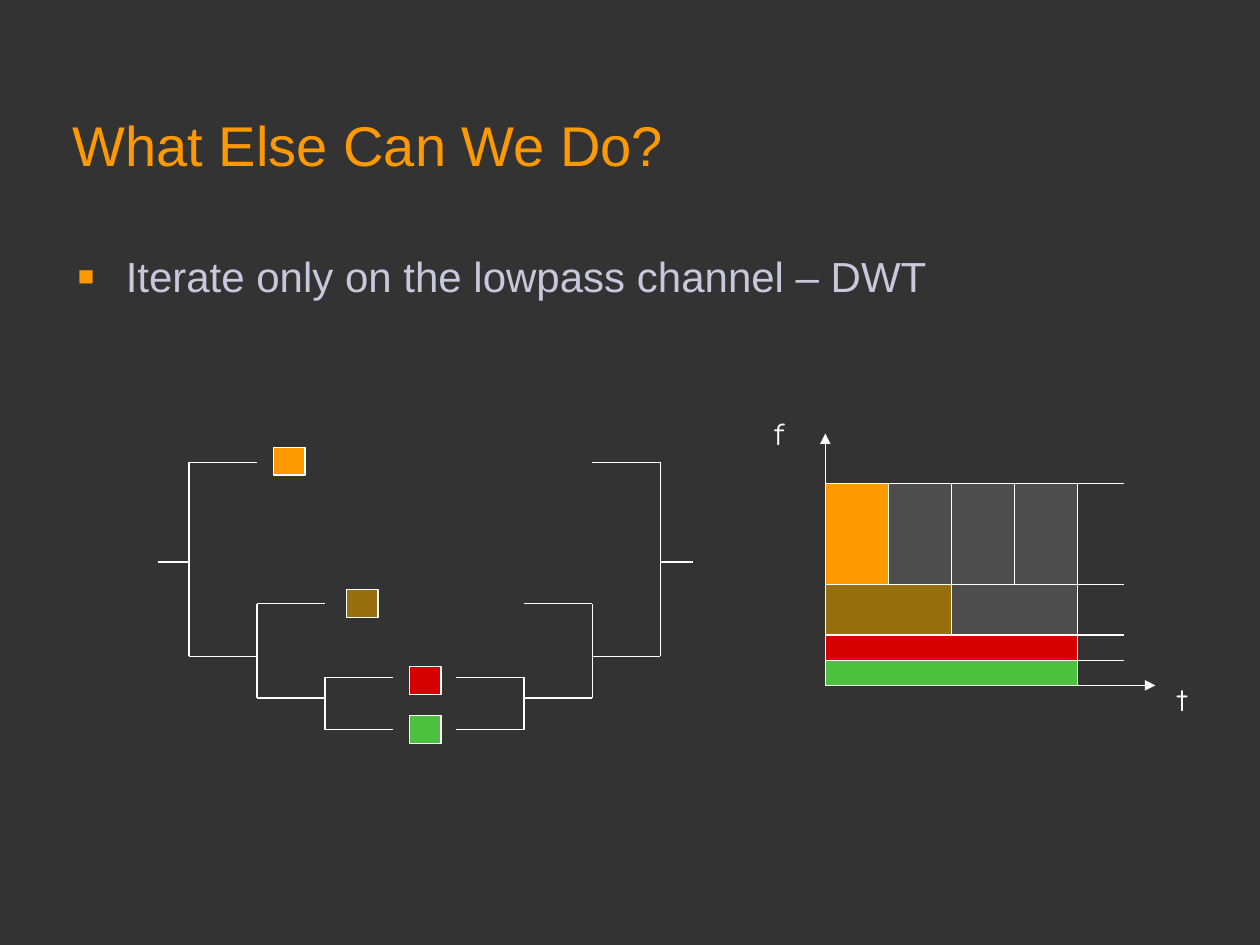
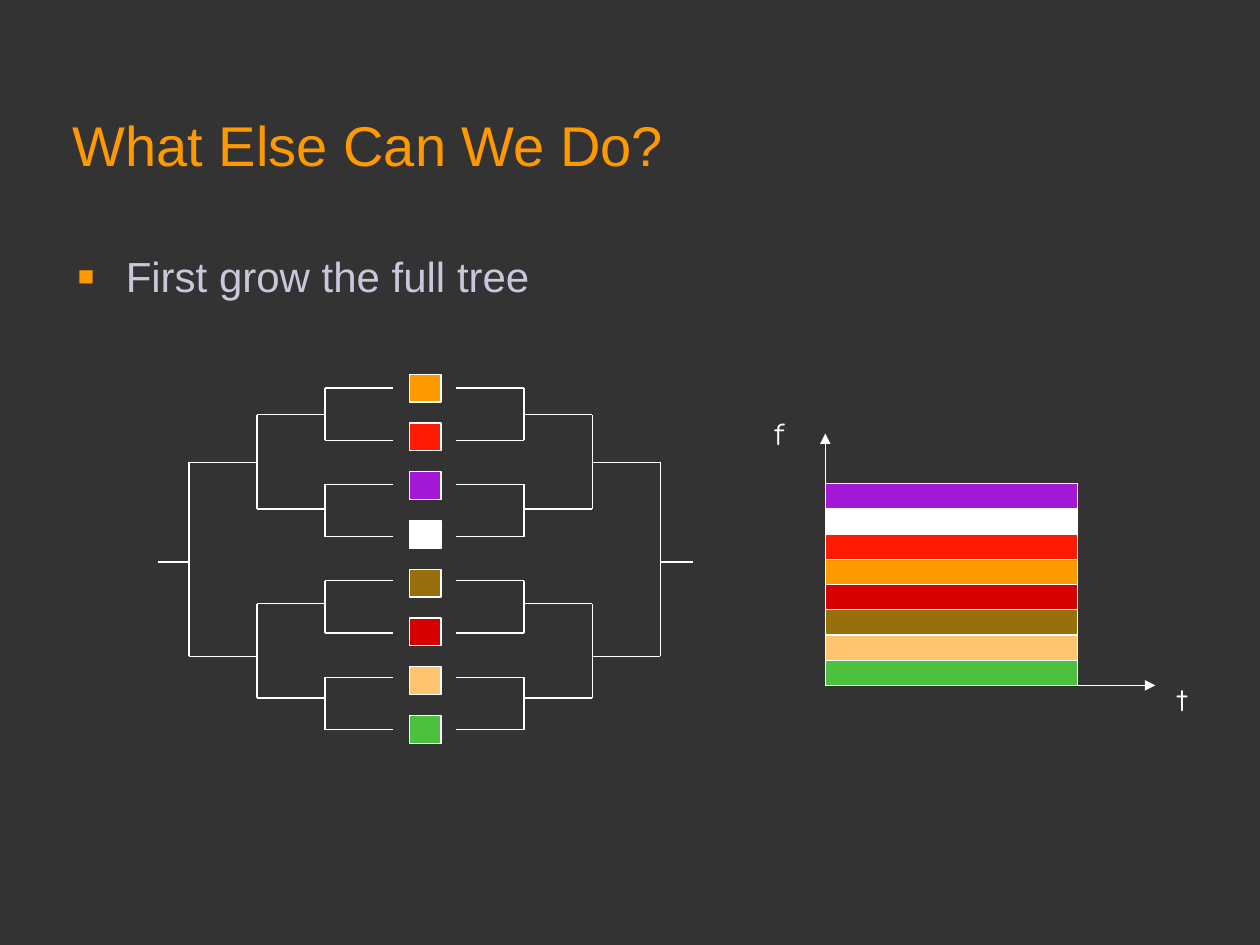
from lxml import etree
from pptx import Presentation
from pptx.dml.color import RGBColor
from pptx.enum import shapes, text
from pptx.oxml import ns
from pptx.util import Inches, Pt

COLOURS = {
    "background": "333333", "orange": "FF9900", "lavender": "C9C7DB",
    "white": "FFFFFF", "grey": "4D4D4D", "green": "4BC13F",
    "crimson": "D60000", "scarlet": "FD1B03", "brown": "97700D",
    "purple": "A318D4", "peach": "FFC46D",
}
RGB = {name: RGBColor.from_string(value) for name, value in COLOURS.items()}

# Filter bank geometry: the synthesis half mirrors the analysis half
MIRROR = 6.74
BRANCH = 0.54
LEAF_LEFT, LEAF_TOP, LEAF_STEP = 3.25, 2.97, 0.387
LEAF_WIDTH, LEAF_HEIGHT = 0.25, 0.22

# Time-frequency plane geometry
PLANE_LEFT, PLANE_TOP, PLANE_WIDTH, PLANE_BOTTOM = 6.55, 3.84, 2, 5.44
BAND = 0.2

# Forks as (spine, upper branch, lower branch)
root_fork = (1.5, 3.67, 5.21)
high_fork = (2.04, 3.29, 4.04)
low_fork = (2.04, 4.79, 5.54)
end_forks = [(2.58, 3.08 + 0.765 * i, 3.495 + 0.765 * i) for i in range(4)]

# Leaves as (left, top, colour)
full_leaves = [
    (LEAF_LEFT, LEAF_TOP + LEAF_STEP * i, colour)
    for i, colour in enumerate(["orange", "scarlet", "purple", "white",
                                "brown", "crimson", "peach", "green"])
]
dwt_leaves = [
    (2.17, 3.55, "orange"), (2.75, 4.68, "brown"),
    (*full_leaves[6][:2], "crimson"), full_leaves[7],
]

# Plane rows from the top, as (height in bands, cell colours)
dwt_rows = [
    (4, ["orange", "grey", "grey", "grey"]),
    (2, ["brown", "grey"]),
    (1, ["crimson"]),
    (1, ["green"]),
]
full_rows = [(1, [colour]) for colour in
             ["purple", "white", "scarlet", "orange",
              "crimson", "brown", "peach", "green"]]

# Each slide: bullet, forks, leaves, plane rows, whether rows have ticks
pages = [
    ("Iterate only on the lowpass channel – DWT",
     [root_fork, low_fork, end_forks[3]], dwt_leaves, dwt_rows, True),
    ("First grow the full tree",
     [root_fork, high_fork, low_fork, *end_forks], full_leaves, full_rows, False),
]


def draw_line(slide, x1, y1, x2, y2, arrow=False):
    line = slide.shapes.add_connector(
        shapes.MSO_CONNECTOR.STRAIGHT,
        Inches(x1), Inches(y1), Inches(x2), Inches(y2))
    line.line.color.rgb = RGB["white"]
    line.line.width = Pt(0.75)
    if arrow:
        etree.SubElement(line.line._get_or_add_ln(), ns.qn("a:tailEnd"), type="triangle")
    etree.SubElement(line._element.spPr, ns.qn("a:effectLst"))


def draw_block(slide, left, top, width, height, colour):
    block = slide.shapes.add_shape(
        shapes.MSO_SHAPE.RECTANGLE,
        Inches(left), Inches(top), Inches(width), Inches(height))
    block.shadow.inherit = False
    block.fill.solid()
    block.fill.fore_color.rgb = RGB[colour]
    block.line.color.rgb = RGB["white"]
    block.line.width = Pt(0.75)


prs = Presentation()
prs.slide_width, prs.slide_height = Inches(10), Inches(7.5)
backdrop = prs.slide_master.background.fill
backdrop.solid()
backdrop.fore_color.rgb = RGB["background"]

for bullet, forks, leaves, rows, ticked in pages:
    slide = prs.slides.add_slide(prs.slide_layouts[6])

    # Title, bullet and axis labels
    for words, place, size, font, colour in [
        ("What Else Can We Do?", (0.48, 0.79, 8.19, 0.7), 32, "Arial", "orange"),
        (bullet, (0.52, 1.94, 8.2, 4.72), 24, "Arial", "lavender"),
        ("t", (9.25, 5.35, 0.33, 0.4), 18, "Comic Neue", "white"),
        ("f", (6.05, 3.24, 0.33, 0.4), 18, "Comic Neue", "white"),
    ]:
        frame = slide.shapes.add_textbox(*map(Inches, place)).text_frame
        frame.word_wrap = True
        if size == 32:
            frame.vertical_anchor = text.MSO_ANCHOR.MIDDLE
        paragraph = frame.paragraphs[0]
        if words == bullet:
            props = paragraph._p.get_or_add_pPr()
            props.set("marL", str(Inches(0.38)))
            props.set("indent", str(Inches(-0.38)))
            tint = etree.SubElement(props, ns.qn("a:buClr"))
            etree.SubElement(tint, ns.qn("a:srgbClr"), val=COLOURS["orange"])
            etree.SubElement(props, ns.qn("a:buSzPct"), val="65000")
            etree.SubElement(props, ns.qn("a:buFont"), typeface="Arial")
            etree.SubElement(props, ns.qn("a:buChar"), char="■")
        run = paragraph.add_run()
        run.text = words
        run.font.name = font
        run.font.size = Pt(size)
        run.font.color.rgb = RGB[colour]

    # Filter bank tree, analysis on the left and synthesis on the right
    for spine, upper, lower in forks:
        for x, tip in [(spine, spine + BRANCH),
                       (MIRROR - spine, MIRROR - spine - BRANCH)]:
            draw_line(slide, x, lower, x, upper)
            draw_line(slide, x, upper, tip, upper)
            draw_line(slide, x, lower, tip, lower)
    draw_line(slide, 1.25, 4.46, 1.5, 4.46)
    draw_line(slide, 5.5, 4.46, 5.24, 4.46)
    for left, top, colour in leaves:
        draw_block(slide, left, top, LEAF_WIDTH, LEAF_HEIGHT, colour)

    # Frequency and time axes
    draw_line(slide, PLANE_LEFT, PLANE_BOTTOM, PLANE_LEFT, 3.44, arrow=True)
    draw_line(slide, PLANE_LEFT, PLANE_BOTTOM, 9.17, PLANE_BOTTOM, arrow=True)

    # Tiling of the time-frequency plane
    top = PLANE_TOP
    for bands, cells in rows:
        width = PLANE_WIDTH / len(cells)
        for i, colour in enumerate(cells):
            draw_block(slide, PLANE_LEFT + i * width, top, width, bands * BAND, colour)
        if ticked:
            right = PLANE_LEFT + PLANE_WIDTH
            draw_line(slide, right, top, right + 0.37, top)
        top += bands * BAND

prs.save("out.pptx")
